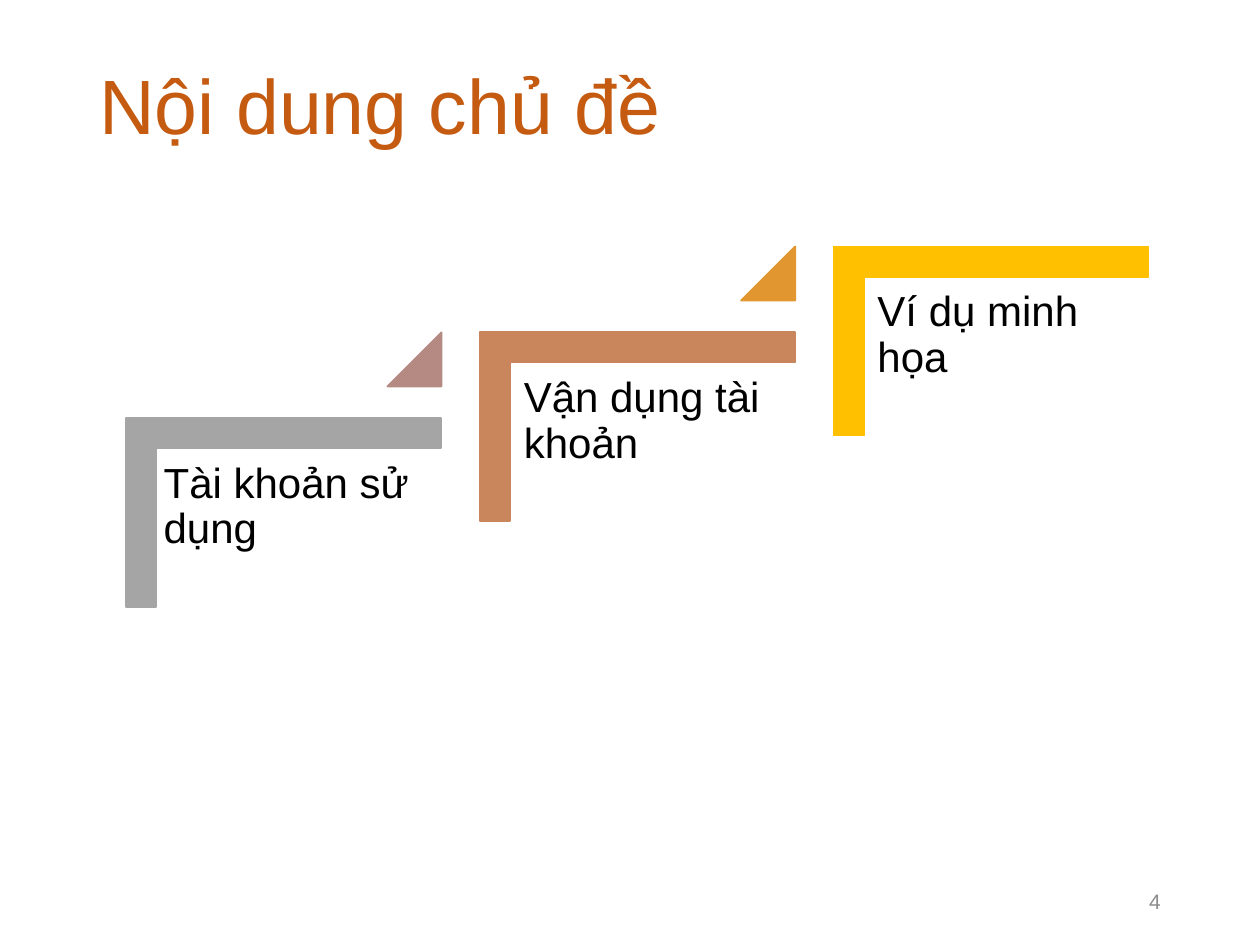
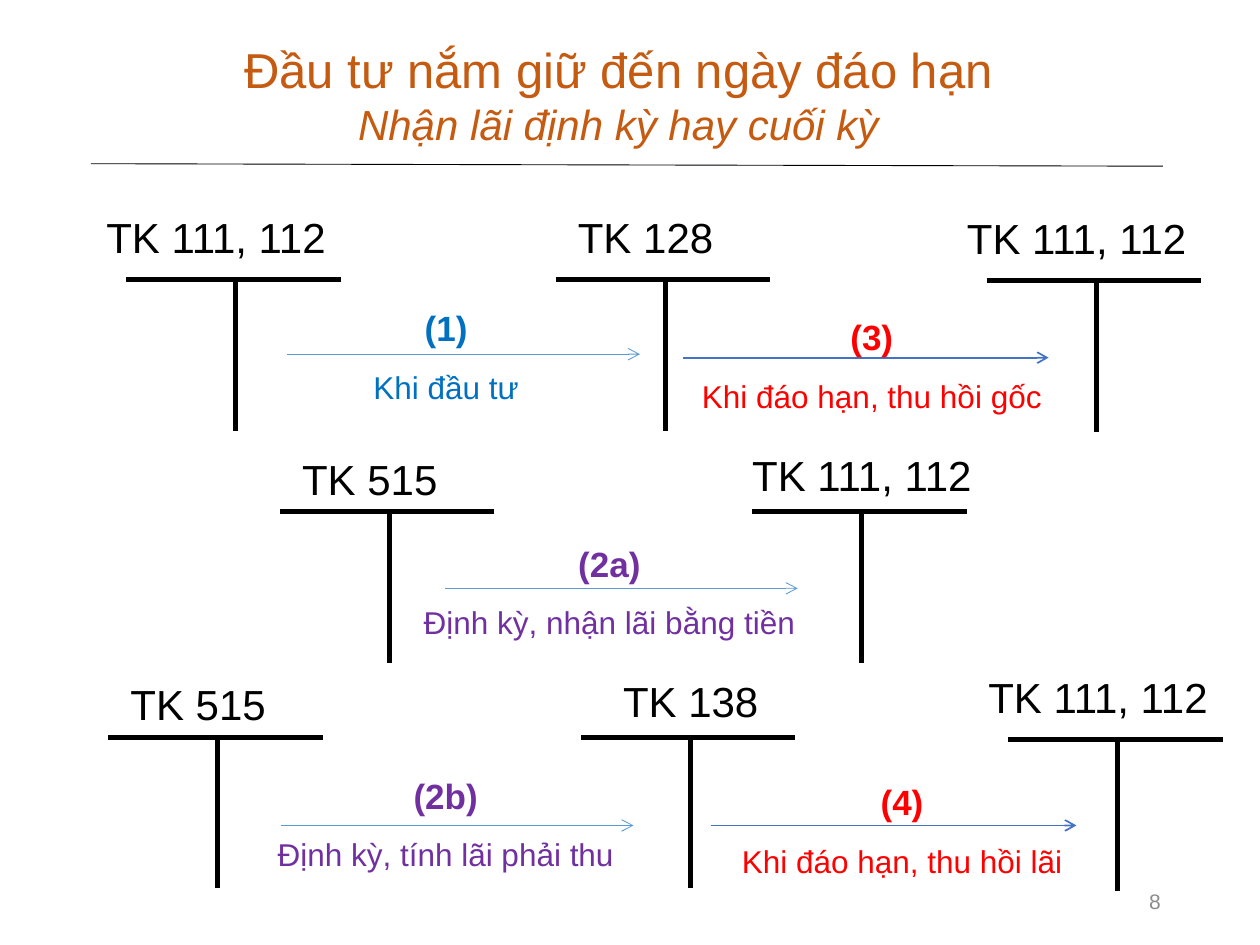
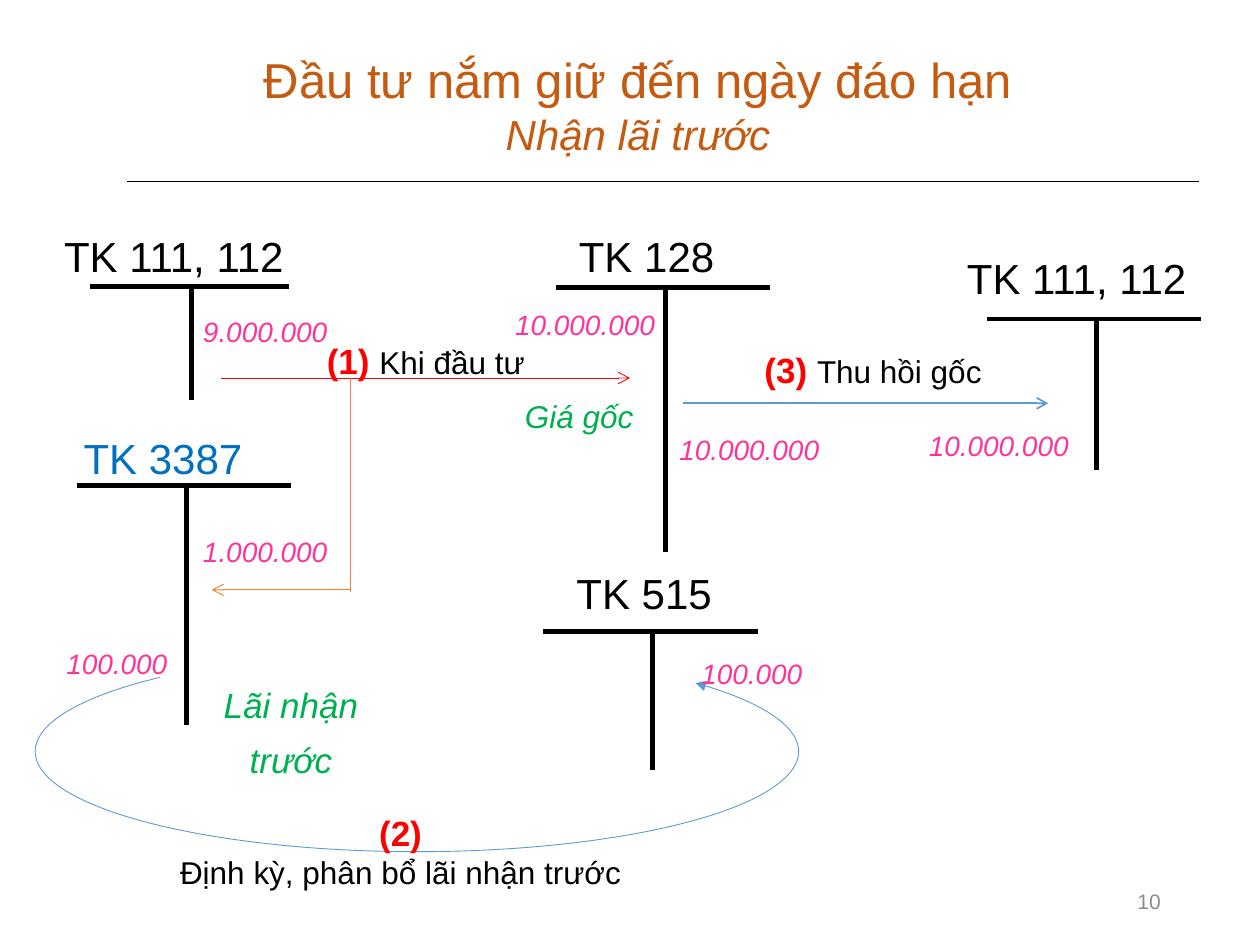
from lxml.etree import SubElement
from pptx import Presentation
from pptx.dml.color import RGBColor
from pptx.enum.shapes import MSO_CONNECTOR, MSO_SHAPE
from pptx.enum.text import MSO_ANCHOR, PP_ALIGN
from pptx.oxml.ns import qn
from pptx.util import Cm, Pt

FONT = "Arial"
COLORS = {
    "title": "C55A11", "text": "000000", "number": "8C8C8C",
    "gray": "A5A5A5", "clay": "C9855C", "gold": "FFC000",
    "mauve": "B48A83", "amber": "E1962F",
    "sky": "5B9BD5", "royal": "4472C4", "orange": "ED7D31",
    "blue": "0070C0", "purple": "7030A0", "red": "FF0000",
    "green": "00B050", "pink": "FF3399",
}


def rgb(name):
    """Return the named colour."""
    return RGBColor.from_string(COLORS[name])


def style_run(r, size, color, style=""):
    """Format a run; style may hold b for bold and i for italic."""
    r.font.name = FONT
    r.font.size = Pt(size)
    r.font.color.rgb = rgb(color)
    r.font.bold = "b" in style
    r.font.italic = "i" in style


def write(s, box, paragraphs, spacing=None, align=PP_ALIGN.CENTER):
    """Add a text box; each paragraph is a list of (text, size, color, style)."""
    tb = s.shapes.add_textbox(*map(Cm, box))
    tf = tb.text_frame
    tf.word_wrap = True
    for i, runs in enumerate(paragraphs):
        p = tf.add_paragraph() if i else tf.paragraphs[0]
        p.alignment = align
        p.line_spacing = spacing
        for text, *look in runs:
            r = p.add_run()
            r.text = text
            style_run(r, *look)
    return tf


def line(s, x1, y1, x2, y2, color="text", width=0.5, tail=None):
    """Draw a straight line, with an optional arrowhead at its end."""
    c = s.shapes.add_connector(MSO_CONNECTOR.STRAIGHT, *map(Cm, (x1, y1, x2, y2)))
    c.line.color.rgb = rgb(color)
    c.line.width = Pt(width)
    if tail:
        SubElement(c.line._get_or_add_ln(), qn("a:tailEnd"), type=tail)
    SubElement(c._element.spPr, qn("a:effectLst"))


def preset(s, kind, box, color):
    """Add a filled preset shape without shadow."""
    sp = s.shapes.add_shape(kind, *map(Cm, box))
    sp.shadow.inherit = False
    sp.fill.solid()
    sp.fill.fore_color.rgb = rgb(color)
    sp.line.color.rgb = rgb(color)
    sp.line.width = Pt(1)
    return sp


def new_slide(prs, number, box, title, sizes, align=PP_ALIGN.CENTER, spacing=None):
    """Add a slide with its title and page number."""
    s = prs.slides.add_slide(prs.slide_layouts[5])
    sp = s.shapes.title
    sp.left, sp.top, sp.width, sp.height = map(Cm, box)
    tf = sp.text_frame
    tf.text = title
    tf.vertical_anchor = MSO_ANCHOR.MIDDLE
    p = tf.paragraphs[0]
    p.alignment = align
    p.line_spacing = spacing
    for r, size, style in zip(p.runs, sizes, ("", "i")):
        style_run(r, size, "title", style)
    tf = write(s, (17.93, 17.65, 5.72, 1.02), [[(number, 12, "number")]],
               align=PP_ALIGN.RIGHT)
    tf.vertical_anchor = MSO_ANCHOR.MIDDLE
    return s


def stair(s, x, y, text, color, indent, flag=None):
    """Draw one step: corner, label and the triangle leading upwards."""
    w, h = 6.35, 3.81
    corner = preset(s, MSO_SHAPE.CORNER,
                    (x + (w - h) / 2, y - (w - h) / 2, h, w), color)
    corner.rotation = 90
    corner.adjustments[0] = corner.adjustments[1] = 0.16
    tf = write(s, (x + indent, y + 0.64, w - indent, 5), [[(text, 24, "text")]],
               0.9, PP_ALIGN.LEFT)
    tf.margin_left = tf.margin_top = tf.margin_right = tf.margin_bottom = Cm(0.25)
    if flag:
        tri = preset(s, MSO_SHAPE.ISOSCELES_TRIANGLE,
                     (x + 5.27, y - 1.73, 1.09, 1.09), flag)
        tri.adjustments[0] = 1


def t_account(s, label, x, y, dx=-0.4, rise=1.5, depth=3.05, width=4.32, color="text"):
    """Draw a T account with its stem at x and its bar at y."""
    write(s, (x + dx - 3.07, y - rise, 6.15, 1.27), [[(label, 24, color)]])
    line(s, x, y, x, y + depth, width=2.75)
    left = x - 0.51 * width
    line(s, left, y, left + width, y, width=2.75)


def flow(s, mark, text, color, x, y, length, dx, rise, arrow=("sky", 0.5), pad=0.4):
    """Draw an arrow from x, y with its mark above and its text below."""
    line(s, x, y, x + length, y, *arrow, tail="arrow")
    tf = write(s, (x + length / 2 + dx - 4.23, y - rise, 8.46, 2.54),
               [[(mark, 20, color, "b")], [(text, 18, color)]], 1.5)
    tf.paragraphs[0]._p.get_or_add_pPr().set("marR", str(Cm(pad)))


def contents_slide(prs):
    """Build the topic staircase."""
    s = new_slide(prs, "4", (1.75, 1.02, 21.89, 2.36), "Nội dung chủ đề", (44,),
                  PP_ALIGN.LEFT, 0.9)
    steps = [("Tài khoản sử dụng", "gray", 0.51, "mauve"),
             ("Vận dụng tài khoản", "clay", 0.64, "amber"),
             ("Ví dụ minh họa", "gold", 0.64)]
    for i, step in enumerate(steps):
        stair(s, 2.54 + 7.13 * i, 8.43 - 1.73 * i, *step)


def periodic_slide(prs):
    """Build the accounts for interest received periodically or at the end."""
    s = new_slide(prs, "8", (1.52, 0.51, 21.89, 2.79),
                  "Đầu tư nắm giữ đến ngày đáo hạn\vNhận lãi định kỳ hay cuối kỳ",
                  (28, 24))
    line(s, 1.83, 3.3, 23.44, 3.35)
    for account in [
        ("TK 111, 112", 4.75, 5.64),
        ("TK 128", 13.41, 5.64),
        ("TK 111, 112", 22.1, 5.66),
        ("TK 515", 7.85, 10.31, -0.4, 1.3),
        ("TK 111, 112", 17.37, 10.31, 0, 1.37),
        ("TK 515", 4.39, 14.86, -0.4, 1.3),
        ("TK 138", 13.92, 14.86, 0, 1.37),
        ("TK 111, 112", 22.53, 14.91),
    ]:
        t_account(s, *account)
    for interest in [
        ("(1)", "Khi đầu tư", "blue", 5.79, 7.14, 7.11, -0.15, 1.5),
        ("(2a)", "Định kỳ, nhận lãi bằng tiền", "purple", 8.97, 11.86, 7.11, -0.04, 1.47),
        ("(2b)", "Định kỳ, tính lãi phải thu", "purple", 5.66, 16.64, 7.11, -0.03, 1.58),
    ]:
        flow(s, *interest)
    for maturity in [
        ("(3)", "Khi đáo hạn, thu hồi gốc", "red", 13.77, 7.21, 7.37, 0.12, 1.39),
        ("(4)", "Khi đáo hạn, thu hồi lãi", "red", 14.33, 16.64, 7.37, 0.17, 1.45),
    ]:
        flow(s, *maturity, arrow=("royal", 1), pad=0)


def allocation_arc(s, box):
    """Draw the curved arrow that allocates interest received in advance."""
    arc = s.shapes.add_shape(MSO_SHAPE.ARC, *map(Cm, box))
    arc.shadow.inherit = False
    arc.fill.background()
    arc.line.color.rgb = rgb("sky")
    arc.line.width = Pt(0.5)
    arc.adjustments[0], arc.adjustments[1] = 98.36, 8.29
    arc._element.spPr.find(qn("a:xfrm")).set("flipV", "1")
    SubElement(arc.line._get_or_add_ln(), qn("a:tailEnd"), type="triangle")


def advance_slide(prs):
    """Build the accounts for interest received in advance."""
    s = new_slide(prs, "10", (1.52, 0.58, 22.68, 3.05),
                  "Đầu tư nắm giữ đến ngày đáo hạn\vNhận lãi trước", (28, 24))
    line(s, 2.57, 3.66, 24.18, 3.66)
    for account in [
        ("TK 111, 112", 3.86, 5.77, -0.36, 1.24, 2.29, 4.01),
        ("TK 128", 13.41, 5.79, -0.38, 1.27, 5.33),
        ("TK 111, 112", 22.1, 6.43, -0.4, 1.47),
        ("TK 3387", 3.76, 9.78, -0.48, 1.19, 4.83, 4.32, "blue"),
        ("TK 515", 13.16, 12.73, -0.18, 1.42, 2.79),
    ]:
        t_account(s, *account)

    line(s, 4.45, 7.62, 12.7, 7.62, "red", tail="arrow")
    line(s, 7.06, 7.62, 7.06, 11.94, "orange")
    line(s, 7.06, 11.89, 4.27, 11.89, "orange", tail="arrow")
    line(s, 13.77, 8.13, 21.13, 8.13, "sky", 1, "arrow")
    allocation_arc(s, (0.71, 13.13, 15.39, 4.04))

    for mark, text, box in [("(1) ", "Khi đầu tư", (5.92, 6.3, 5.33, 1.37)),
                            ("(3) ", "Thu hồi gốc", (13.79, 6.48, 7.62, 1.37))]:
        write(s, box, [[(mark, 20, "red", "b"), (text, 18, "text")]], 1.5)
    write(s, (3.25, 16.23, 9.65, 1.88),
          [[("(2)", 20, "red", "b")],
           [("Định kỳ, phân bổ lãi nhận trước", 18, "text")]])
    write(s, (9.96, 7.49, 3.43, 1.42), [[("Giá gốc", 18, "green", "i")]], 1.5)
    write(s, (4.06, 13.41, 3.61, 2.36), [[("Lãi nhận trước", 20, "green", "i")]], 1.3)
    for amount, x, y in [
        ("9.000.000", 3.63, 5.87), ("10.000.000", 10.08, 5.74),
        ("10.000.000", 13.39, 8.26), ("10.000.000", 18.42, 8.18),
        ("1.000.000", 3.63, 10.31), ("100.000", 0.64, 12.57),
        ("100.000", 13.44, 12.78),
    ]:
        write(s, (x, y, 3.43, 1.14), [[(amount, 16, "pink", "i")]], 1.5)


def main():
    """Build and save the slides."""
    prs = Presentation()
    prs.slide_width, prs.slide_height = Cm(25.4), Cm(19.05)
    contents_slide(prs)
    periodic_slide(prs)
    advance_slide(prs)
    prs.save("out.pptx")


if __name__ == "__main__":
    main()
